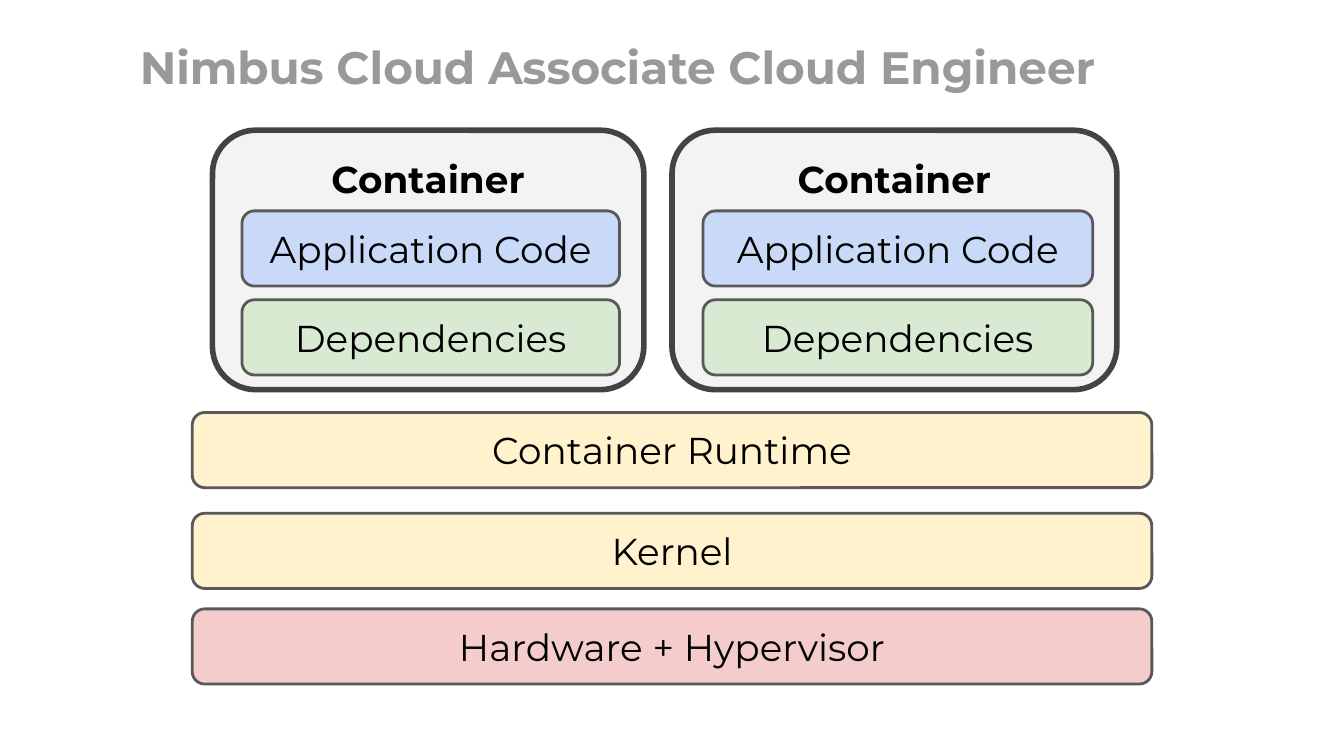
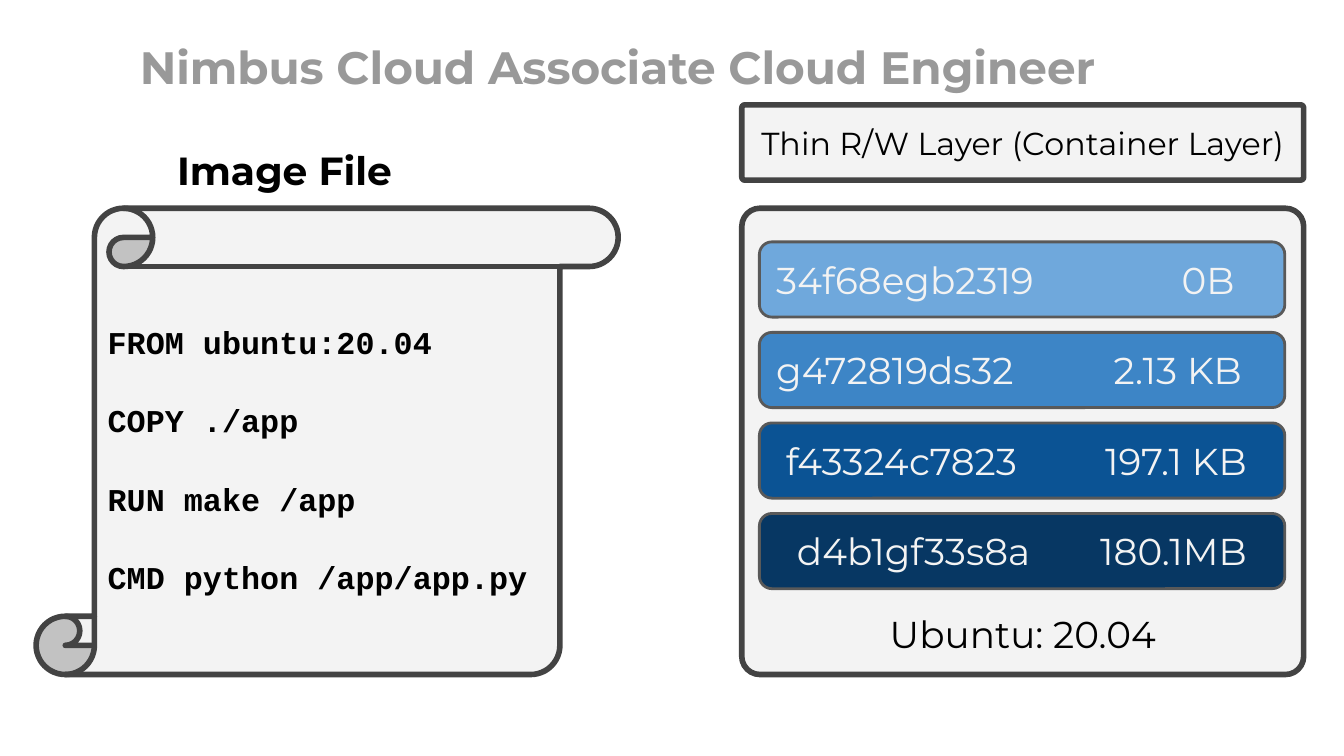
import lxml.etree
import pptx
import pptx.dml.color
import pptx.enum.shapes
import pptx.enum.text
import pptx.oxml.ns
import pptx.util

Pt = pptx.util.Pt
SHAPES = pptx.enum.shapes.MSO_SHAPE
ALIGN = pptx.enum.text.PP_ALIGN
ANCHOR = pptx.enum.text.MSO_ANCHOR

# Shared style
FONT = "Montserrat"
CODE_FONT = "Courier New"
BLACK, TITLE_GREY, PALE_GREY = "000000", "999999", "F3F3F3"
BLUE, GREEN, YELLOW, RED = "C9DAF8", "D9EAD3", "FFF2CC", "F4CCCC"
FRAME_LINE = ("434343", 3)
BAR_LINE = ("595959", 1.5)
BAR_HEIGHT = 40.3
INSET = 7.2
TITLE = "Nimbus Cloud Associate Cloud Engineer"


def color(value):
    return pptx.dml.color.RGBColor.from_string(value)


def write(shape, text, size=20, font=FONT, ink=BLACK, bold=False,
          align=ALIGN.LEFT, anchor=ANCHOR.TOP):
    """Put text in a shape and format all its runs alike."""
    frame = shape.text_frame
    frame.text = text
    frame.word_wrap = True
    frame.auto_size = pptx.enum.text.MSO_AUTO_SIZE.NONE
    frame.vertical_anchor = anchor
    frame.margin_left = frame.margin_right = Pt(INSET)
    frame.margin_top = frame.margin_bottom = Pt(INSET)
    for paragraph in frame.paragraphs:
        paragraph.alignment = align
        for run in paragraph.runs:
            run.font.name = font
            run.font.size = Pt(size)
            run.font.bold = bold
            run.font.color.rgb = color(ink)
    return frame


def add_titled_slide(presentation):
    slide = presentation.slides.add_slide(presentation.slide_layouts[5])
    title = slide.shapes.title
    title.left, title.top = Pt(67.7), Pt(12.2)
    title.width, title.height = Pt(613.4), Pt(45.4)
    write(title, TITLE, size=24.3, ink=TITLE_GREY, bold=True, anchor=ANCHOR.BOTTOM)
    return slide


def add_block(slide, box, fill, line, rounding, kind=SHAPES.ROUNDED_RECTANGLE):
    shape = slide.shapes.add_shape(kind, *(Pt(length) for length in box))
    shape.adjustments[0] = rounding
    shape.shadow.inherit = False
    shape.fill.solid()
    shape.fill.fore_color.rgb = color(fill)
    line_color, line_width = line
    shape.line.color.rgb = color(line_color)
    shape.line.width = Pt(line_width)
    return shape


def add_bar(slide, left, top, width, fill, text):
    bar = add_block(slide, (left, top, width, BAR_HEIGHT), fill, BAR_LINE, 0.167)
    write(bar, text, align=ALIGN.CENTER, anchor=ANCHOR.MIDDLE)


def add_container(slide, left, width, bar_left, bar_width):
    frame = add_block(slide, (left, 69.8, width, 139), PALE_GREY, FRAME_LINE, 0.167)
    write(frame, "Container", bold=True, align=ALIGN.CENTER)
    add_bar(slide, bar_left, 113, bar_width, BLUE, "Application Code")
    add_bar(slide, bar_left, 160.6, bar_width, GREEN, "Dependencies")


def add_image_layer(slide, top, fill, name, size, indent, right_edge):
    """A layer bar: its name at the left, its size at a right tab stop."""
    bar = add_block(slide, (406.8, top, 281.5, BAR_HEIGHT), fill, BAR_LINE, 0.167)
    frame = write(bar, f"{name}\t{size}", ink=PALE_GREY, anchor=ANCHOR.MIDDLE)
    frame.margin_left = Pt(INSET + indent)
    properties = frame.paragraphs[0]._p.get_or_add_pPr()
    tabs = lxml.etree.SubElement(properties, pptx.oxml.ns.qn("a:tabLst"))
    lxml.etree.SubElement(tabs, pptx.oxml.ns.qn("a:tab"),
                          pos=str(Pt(right_edge - indent)), algn="r")


def add_code_scroll(slide, commands):
    scroll = add_block(slide, (19.4, 111.6, 311.8, 249.8), PALE_GREY, FRAME_LINE,
                       0.125, SHAPES.VERTICAL_SCROLL)
    frame = write(scroll, "\n".join(commands), size=17, font=CODE_FONT, bold=True)
    frame.margin_top = Pt(30)
    for paragraph in frame.paragraphs[1:]:
        paragraph.space_before = Pt(21.6)


def build_container_slide(presentation):
    slide = add_titled_slide(presentation)
    add_container(slide, 113.8, 231.1, 129.6, 202.3)
    add_container(slide, 360, 238.3, 376.6, 208.8)
    # Host stack under the containers
    for top, fill, text in (
        (221, YELLOW, "Container Runtime"),
        (275, YELLOW, "Kernel"),
        (326.2, RED, "Hardware + Hypervisor"),
    ):
        add_bar(slide, 103, top, 514.1, fill, text)


def build_layer_slide(presentation):
    slide = add_titled_slide(presentation)

    # Image layers inside the base image
    base = add_block(slide, (397.4, 111.6, 301, 249.8), PALE_GREY, FRAME_LINE, 0.039)
    write(base, "Ubuntu: 20.04", align=ALIGN.CENTER, anchor=ANCHOR.BOTTOM)
    layers = (
        ("6FA8DC", "34f68egb2319", "0B", 0, 245.5),
        ("3D85C6", "g472819ds32", "2.13 KB", 0, 249.5),
        ("0B5394", "f43324c7823", "197.1 KB", 5, 252),
        ("073763", "d4b1gf33s8a", "180.1MB", 11, 252),
    )
    for index, layer in enumerate(layers):
        add_image_layer(slide, 129.6 + 48.5 * index, *layer)

    # Build file
    add_code_scroll(slide, ("FROM ubuntu:20.04", "COPY ./app",
                            "RUN make /app", "CMD python /app/app.py"))
    heading = slide.shapes.add_textbox(Pt(87.8), Pt(71.3), Pt(197.3), Pt(BAR_HEIGHT))
    write(heading, "Image File", size=21, bold=True)

    # Writable layer on top
    thin = add_block(slide, (397.4, 56.2, 301, BAR_HEIGHT), PALE_GREY, FRAME_LINE, 0.039)
    write(thin, "Thin R/W Layer (Container Layer)", size=17,
          align=ALIGN.CENTER, anchor=ANCHOR.MIDDLE)


def main():
    presentation = pptx.Presentation()
    presentation.slide_width, presentation.slide_height = Pt(720), Pt(405)
    build_container_slide(presentation)
    build_layer_slide(presentation)
    presentation.save("out.pptx")


if __name__ == "__main__":
    main()
